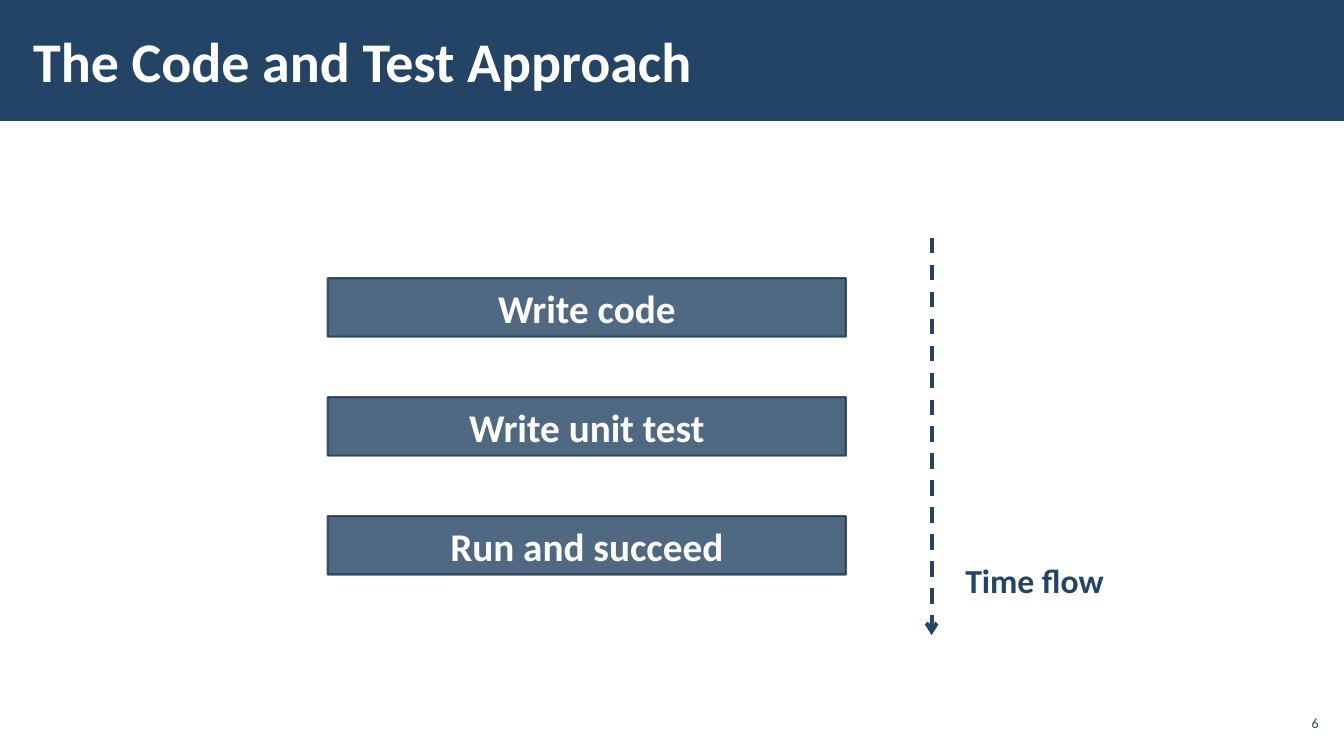
from lxml import etree
from pptx import Presentation
from pptx.dml.color import RGBColor
from pptx.enum.dml import MSO_LINE
from pptx.enum.shapes import MSO_CONNECTOR, MSO_SHAPE
from pptx.enum.text import MSO_ANCHOR, PP_ALIGN
from pptx.oxml.ns import qn
from pptx.util import Emu, Pt

RECT, STRAIGHT = MSO_SHAPE.RECTANGLE, MSO_CONNECTOR.STRAIGHT
DASH = MSO_LINE.DASH
TOP, MIDDLE = MSO_ANCHOR.TOP, MSO_ANCHOR.MIDDLE
LEFT, CENTER, RIGHT = PP_ALIGN.LEFT, PP_ALIGN.CENTER, PP_ALIGN.RIGHT

NAVY, DARK_NAVY, WHITE = "234465", "1A334C", "FFFFFF"
FONT = "Calibri"
WIDTH, HEIGHT = 1333, 750
STEPS = ["Write code", "Write unit test", "Run and succeed"]


def px(n):
    return Emu(n * 9144)


def color(hex_string):
    return RGBColor.from_string(hex_string)


def set_alpha(fill_parent, percent):
    clr = fill_parent.find(qn("a:solidFill"))[0]
    etree.SubElement(clr, qn("a:alpha")).set("val", str(percent * 1000))


def write(sp, text, size, clr, align, bold=True, anchor=MIDDLE, inset=(10, 5)):
    tf = sp.text_frame
    tf.word_wrap = True
    tf.vertical_anchor = anchor
    tf.margin_left = tf.margin_right = px(inset[0])
    tf.margin_top = tf.margin_bottom = px(inset[1])
    p = tf.paragraphs[0]
    p.text = text
    p.alignment = align
    p.font.name, p.font.size, p.font.bold = FONT, Pt(size), bold
    p.font.color.rgb = color(clr)


def add_text(s, x, y, w, h, *args, **kwargs):
    write(s.shapes.add_textbox(px(x), px(y), px(w), px(h)), *args, **kwargs)


def add_rect(s, x, y, w, h, fill):
    sp = s.shapes.add_shape(RECT, px(x), px(y), px(w), px(h))
    sp.shadow.inherit = False
    sp.fill.solid()
    sp.fill.fore_color.rgb = color(fill)
    sp.line.fill.background()
    return sp


def add_header(s, x, y, w, h, title):
    add_rect(s, x, y, w, h, NAVY)
    add_text(s, x + 21, y + 11, 1040, h - 23, title, 40, WHITE, LEFT,
             inset=(12, 4))


def add_steps(s, x, y, w, h, steps):
    bar_h = 58
    pitch = (h - bar_h) // (len(steps) - 1)
    for i, step in enumerate(steps):
        sp = add_rect(s, x, y + i * pitch, w, bar_h, NAVY)
        sp.line.color.rgb = color(DARK_NAVY)
        sp.line.width = Pt(1.5)
        # Both fill and outline are slightly transparent
        set_alpha(sp._element.spPr, 80)
        set_alpha(sp.line._get_or_add_ln(), 80)
        write(sp, step, 28, WHITE, CENTER)


def add_time_flow(s, x, y, w, h, label):
    # Dashed arrow down the left edge
    arrow = s.shapes.add_connector(STRAIGHT, px(x), px(y), px(x), px(y + h))
    arrow.line.color.rgb = color(NAVY)
    arrow.line.width = Pt(2.75)
    arrow.line.dash_style = DASH
    ln = arrow.line._get_or_add_ln()
    etree.SubElement(ln, qn("a:tailEnd")).set("type", "arrow")
    etree.SubElement(arrow._element.spPr, qn("a:effectLst"))
    # Label near the arrowhead
    add_text(s, x + 15, y + h - 79, w - 15, 50, label, 24, NAVY, CENTER,
             anchor=TOP)


def add_page_number(s, x, y, w, h, number):
    add_text(s, x, y, w, h, number, 10, NAVY, RIGHT, bold=False, inset=(4, 4))


def main():
    prs = Presentation()
    prs.slide_width, prs.slide_height = px(WIDTH), px(HEIGHT)
    s = prs.slides.add_slide(prs.slide_layouts[6])
    add_header(s, 0, 0, WIDTH, 120, "The Code and Test Approach")
    add_steps(s, 325, 276, 514, 294, STEPS)
    add_time_flow(s, 924, 236, 189, 394, "Time flow")
    add_page_number(s, 1265, 700, 47, 34, "6")
    prs.save("out.pptx")


if __name__ == "__main__":
    main()
